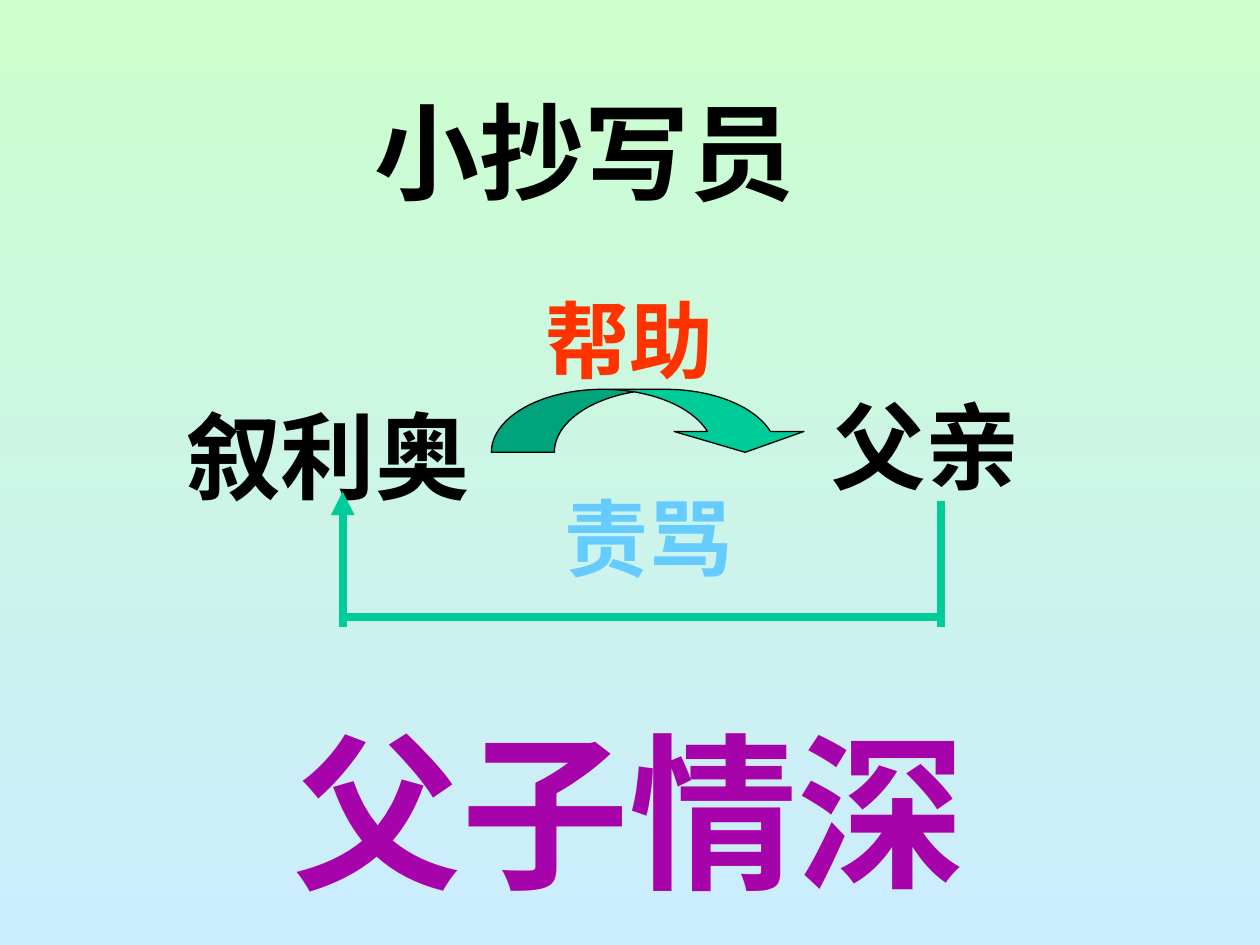
"""Build a slide that maps the story of the little copyist."""
from lxml.etree import SubElement
from pptx import Presentation
from pptx.dml.color import RGBColor
from pptx.enum.shapes import MSO_CONNECTOR, MSO_SHAPE
from pptx.enum.text import PP_ALIGN
from pptx.oxml.ns import qn
from pptx.util import Inches, Pt

PALE_GREEN = RGBColor(0xCC, 0xFF, 0xCC)
PALE_BLUE = RGBColor(0xCC, 0xEC, 0xFF)
BLACK = RGBColor(0x00, 0x00, 0x00)
GREEN = RGBColor(0x00, 0xCC, 0x99)
RED = RGBColor(0xFF, 0x33, 0x00)
SKY_BLUE = RGBColor(0x66, 0xCC, 0xFF)
PURPLE = RGBColor(0xA6, 0x03, 0xAB)
LATIN_FONT = "Arial"
CHINESE_FONT = "Noto Sans CJK SC"
SLOGAN_FONT = "Noto Sans CJK JP"
LINE_HEIGHT = 1.29


def add_label(text, left, top, width, height, size, color, latin=LATIN_FONT, chinese=CHINESE_FONT):
    box = slide.shapes.add_textbox(Inches(left), Inches(top), Inches(width), Inches(height))
    box.text_frame.word_wrap = True
    paragraph = box.text_frame.paragraphs[0]
    paragraph.line_spacing = Pt(round(size * LINE_HEIGHT))
    run = paragraph.add_run()
    run.text = text
    run.font.size = Pt(size)
    run.font.bold = True
    run.font.color.rgb = color
    run.font.name = latin
    SubElement(run.font._element, qn("a:ea"), typeface=chinese)
    return box.text_frame


presentation = Presentation()
presentation.slide_width = Inches(10)
presentation.slide_height = Inches(7.5)
slide = presentation.slides.add_slide(presentation.slide_layouts[6])

background = slide.background.fill
background.gradient()
background.gradient_angle = 270
for stop, color, position in zip(background.gradient_stops, (PALE_GREEN, PALE_BLUE), (0, 1)):
    stop.color.rgb = color
    stop.position = position

title = add_label("小抄写员", 2.5, 0.58, 5, 1.1, 60, BLACK, CHINESE_FONT)
title.margin_left = Inches(0.47)
add_label("叙利奥", 1.38, 3.04, 2.58, 1, 54, BLACK)

help_arrow = slide.shapes.add_shape(
    MSO_SHAPE.CURVED_DOWN_ARROW, Inches(3.9), Inches(3.09), Inches(2.53), Inches(0.5))
help_arrow.shadow.inherit = False
help_arrow.fill.solid()
help_arrow.fill.fore_color.rgb = GREEN
help_arrow.line.color.rgb = BLACK
help_arrow.line.width = Pt(0.75)
for index, adjustment in enumerate((1.03, 2.06, 0.33)):
    help_arrow.adjustments[index] = adjustment

add_label("帮助", 4.23, 2.18, 1.83, 0.9, 48, RED)
add_label("父亲", 6.5, 2.96, 1.83, 1, 54, BLACK)

son_x, father_x = 2.72, 7.47
for start_x, start_y, end_x, end_y in (
    (father_x, 3.98, father_x, 4.98),
    (father_x, 4.9, son_x, 4.9),
    (son_x, 4.98, son_x, 3.9),
):
    scolding_line = slide.shapes.add_connector(
        MSO_CONNECTOR.STRAIGHT, Inches(start_x), Inches(start_y), Inches(end_x), Inches(end_y))
    scolding_line.line.color.rgb = GREEN
    scolding_line.line.width = Pt(4.5)
    SubElement(scolding_line._element.spPr, qn("a:effectLst"))
SubElement(scolding_line.line._get_or_add_ln(), qn("a:tailEnd"), type="triangle")

add_label("责骂", 4.38, 3.75, 1.83, 0.9, 48, SKY_BLUE)

slogan = add_label("父子情深", 2.31, 5.45, 5.37, 1.39, 96, PURPLE, SLOGAN_FONT, SLOGAN_FONT)
slogan.word_wrap = False
slogan.margin_left = slogan.margin_right = 0
slogan.paragraphs[0].alignment = PP_ALIGN.CENTER

presentation.save("out.pptx")
